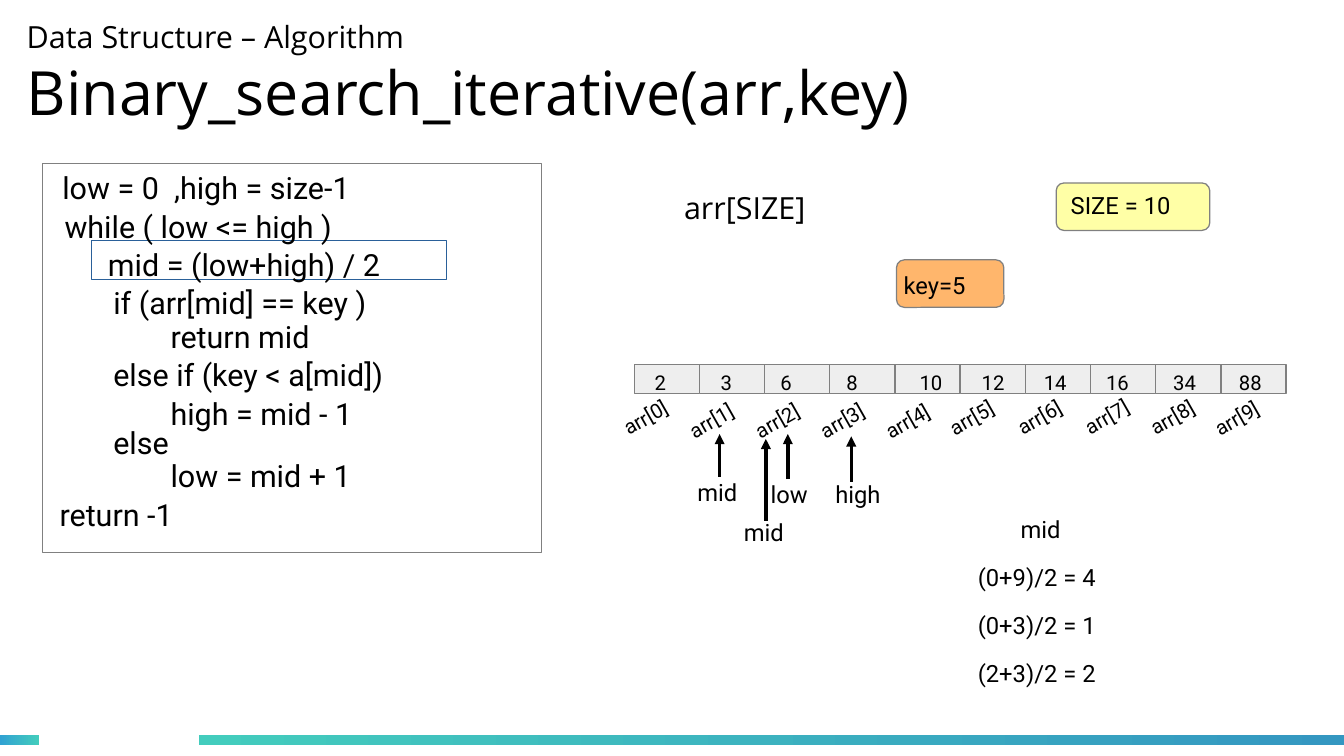
from dataclasses import dataclass

from pptx import Presentation
from pptx.dml.color import RGBColor
from pptx.enum.shapes import MSO_CONNECTOR as CONN, MSO_SHAPE as SHAPE
from pptx.enum.text import MSO_ANCHOR as ANCHOR, MSO_AUTO_SIZE as AUTO, PP_ALIGN as ALIGN
from pptx.oxml.ns import qn
from pptx.util import Pt
from lxml.etree import SubElement


@dataclass(frozen=True)
class Theme:
    text: str = "000000"
    white: str = "FFFFFF"
    border: str = "808080"
    focus: str = "2A6099"
    cell: str = "EEEEEE"
    size_fill: str = "FFFFA6"
    key_fill: str = "FFB66C"
    teal: str = "43CCBD"
    blue_left: str = "30A2D2"
    blue_right: str = "3497C1"
    body: str = "Roboto"
    head: str = "Open Sans"
    title: int = 36
    code: int = 18
    note: int = 14
    small: int = 12


T = Theme()


# Shared helpers
def rgb(color):
    return RGBColor.from_string(color)


def style(font, size, name):
    for attr, value in {"size": Pt(size), "name": name}.items():
        setattr(font, attr, value)
    font.color.rgb = rgb(T.text)


def add_text(s, box, text, size, name=T.body, rotation=0):
    sp = s.shapes.add_textbox(*map(Pt, box))
    sp.rotation = rotation
    tf = sp.text_frame
    tf.word_wrap = True
    r = tf.paragraphs[0].add_run()
    r.text = text
    style(r.font, size, name)


def add_box(s, box, fill, line=T.border, kind=SHAPE.RECTANGLE):
    sp = s.shapes.add_shape(kind, *map(Pt, box))
    sp.shadow.inherit = False
    sp.fill.solid()
    sp.fill.fore_color.rgb = rgb(fill)
    sp.line.color.rgb = rgb(line)
    sp.line.width = Pt(0)


def add_up_arrow(s, x, bottom, top):
    cx = s.shapes.add_connector(CONN.STRAIGHT, Pt(x), Pt(bottom), Pt(x), Pt(top))
    cx.line.color.rgb = rgb(T.text)
    cx.line.width = Pt(0)
    SubElement(cx.line._get_or_add_ln(), qn("a:tailEnd"), type="triangle")
    SubElement(cx._element.spPr, qn("a:effectLst"))


# Footer bars
def footer(s, box):
    x, y, w, h = box
    gap_start, gap_end = 23, 117.4
    bars = [
        (x, gap_start, T.blue_left, T.teal),
        (x + gap_end, w - gap_end, T.teal, T.blue_right),
    ]
    for left, width, *colors in bars:
        sp = s.shapes.add_shape(SHAPE.RECTANGLE, *map(Pt, (left, y, width, h)))
        sp.shadow.inherit = False
        sp.line.fill.background()
        sp.fill.gradient()
        sp.fill.gradient_angle = 0
        for stop, color in zip(sp.fill.gradient_stops, colors):
            stop.color.rgb = rgb(color)


# Two-line title
def title(s, box):
    sp = s.shapes.title
    for attr, value in zip(("left", "top", "width", "height"), box):
        setattr(sp, attr, Pt(value))
    tf = sp.text_frame
    frame = {"margin_left": 0, "margin_right": 0, "margin_top": 0, "margin_bottom": 0,
             "vertical_anchor": ANCHOR.MIDDLE, "auto_size": AUTO.NONE, "word_wrap": True}
    for attr, value in frame.items():
        setattr(tf, attr, value)
    p = tf.paragraphs[0]
    p.alignment = ALIGN.LEFT
    p.text = "Data Structure – Algorithm\vBinary_search_iterative(arr,key)"
    for r, size in zip(p.runs, (T.code, T.title)):
        style(r.font, size, T.head)
    SubElement(p._p.find(qn("a:br")), qn("a:rPr"), sz=str(T.code * 100))


# Pseudocode panel
def code_panel(s, box):
    x, y, w, h = box
    add_box(s, box, T.white)
    add_box(s, (x + 28.8, y + 45.4, 209.5, 23), T.white, T.focus)
    block, inner = 34.6, 68.4
    lines = [
        (4.5, 0, "low = 0  ,high = size-1"),
        (5.8, 22.6, "while ( low <= high )"),
        (31.5, 45.4, "mid = (low+high) / 2"),
        (block, 67.7, "if (arr[mid] == key )"),
        (inner, 87.8, "return mid"),
        (block, 110.2, "else if (key < a[mid])"),
        (inner, 133.2, "high = mid - 1"),
        (block, 150.5, "else"),
        (inner, 169.9, "low = mid + 1"),
        (2.9, 193, "return -1"),
    ]
    for indent, drop, text in lines:
        add_text(s, (x + indent, y + drop, w - indent, 31.7), text, T.code)


# Array name, size and key
def parameters(s, box):
    x, y, w, h = box
    add_text(s, (x, y, 102.2, 31.7), "arr[SIZE]", T.code, T.head)
    chips = [
        (226.8, 0, 90.7, T.size_fill, "SIZE = 10", 1.5, 1.4),
        (132.5, 45.4, 63.4, T.key_fill, "key=5", -2.9, 2.9),
    ]
    for left, top, width, fill, text, dx, dy in chips:
        add_box(s, (x + left, y + top, width, 28.1), fill, kind=SHAPE.ROUNDED_RECTANGLE)
        add_text(s, (x + left + dx, y + top + dy, width + 5, 26), text, T.note)


# Array cells with values and slanted index labels
def array(s, box):
    x, y, w, h = box
    # value, value offset in its cell, then left, drop, width and height of the label
    items = [
        (2, 5, -14.4, 18, 50.4, 24), (3, 5.4, 24.5, 20.1, 49.7, 24),
        (6, 2.2, 63.4, 20.1, 49.7, 24), (8, 2.7, 102.2, 20.1, 49.7, 26),
        (10, 7.4, 140.4, 20.9, 48.2, 24), (12, 5.6, 177.8, 17.3, 54.7, 24),
        (14, 3.8, 218.2, 15.8, 58.3, 26), (16, 2.1, 258.5, 18, 49, 26),
        (34, 3.2, 296.6, 18, 50.4, 24), (88, 3.6, 334.1, 16.5, 58.3, 24),
    ]
    step = w / len(items)
    for i, (value, dx, left, drop, width, height) in enumerate(items):
        add_box(s, (x + i * step, y, step, h), T.cell)
        add_text(s, (x + i * step + dx, y, 32, 24), str(value), T.small)
        add_text(s, (x + left, y + drop, width, height), f"arr[{i}]", T.small, rotation=330.4)


# Pointers below the array
def pointers(s, box):
    x, y, w, h = box
    # name, label left and top, arrow x, bottom and top
    marks = [
        ("mid", 0, 22.3, 20.2, 25.2, 0),
        ("mid", 27.4, 46.1, 47.5, 51.1, 2.9),
        ("low", 43.2, 23.7, 60.5, 26.6, 0),
        ("high", 81.4, 23.7, 97.9, 28.1, 1.4),
    ]
    for name, left, top, arrow_x, bottom, tip in marks:
        add_up_arrow(s, x + arrow_x, y + bottom, y + tip)
        add_text(s, (x + left, y + top, 48, 26), name, T.note)


# Successive midpoints
def midpoints(s, box):
    x, y, w, h = box
    add_text(s, (x + 25.3, y, 45.4, h / 4), "mid", T.note)
    for i, text in enumerate(("(0+9)/2 = 4", "(0+3)/2 = 1", "(2+3)/2 = 2"), 1):
        add_text(s, (x, y + i * h / 4, w, h / 4), text, T.note)


def main():
    prs = Presentation()
    prs.slide_width, prs.slide_height = Pt(793.4), Pt(446.4)
    s = prs.slides.add_slide(prs.slide_layouts[5])
    footer(s, (0, 434.2, 793.4, 5.8))
    title(s, (15.8, -9.4, 749.5, 104.4))
    code_panel(s, (25.2, 96.5, 294.5, 229.7))
    parameters(s, (396.7, 108, 317.5, 73.5))
    array(s, (374.4, 215.3, 384.8, 17.3))
    pointers(s, (404.6, 256.3, 130, 72))
    midpoints(s, (570.1, 300.2, 102.2, 113.6))
    prs.save("out.pptx")


if __name__ == "__main__":
    main()
